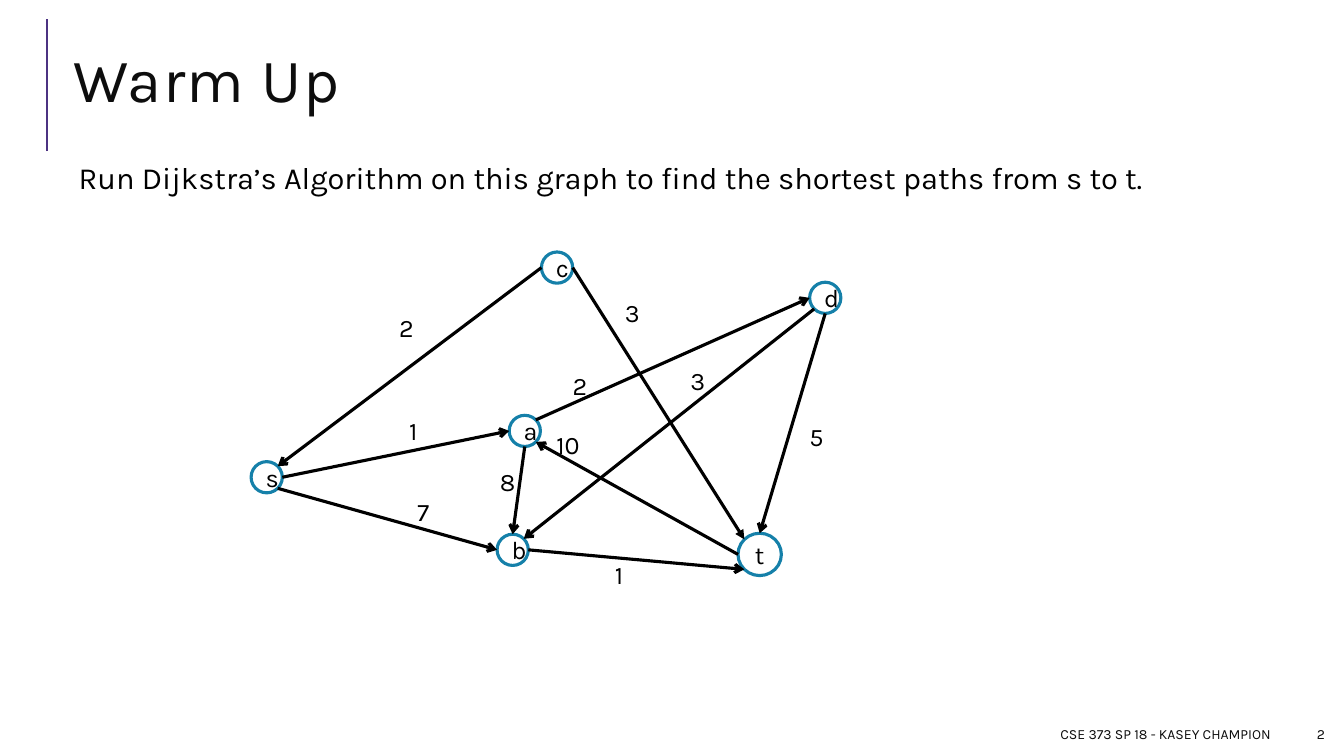
from lxml import etree
from pptx import Presentation
from pptx.dml.color import RGBColor
from pptx.enum.shapes import MSO_CONNECTOR, MSO_SHAPE
from pptx.enum.text import MSO_ANCHOR, PP_ALIGN
from pptx.oxml.ns import qn
from pptx.util import Inches, Pt

STRAIGHT, OVAL = MSO_CONNECTOR.STRAIGHT, MSO_SHAPE.OVAL
TOP, MIDDLE = MSO_ANCHOR.TOP, MSO_ANCHOR.MIDDLE
LEFT, CENTER, RIGHT = PP_ALIGN.LEFT, PP_ALIGN.CENTER, PP_ALIGN.RIGHT

FONT = "Karla"
BLACK, INK, WHITE, PURPLE, BLUE = "000000", "0D0D0D", "FFFFFF", "4C3282", "1580A9"

TITLE = "Warm Up"
TASK = "Run Dijkstra’s Algorithm on this graph to find the shortest paths from s to t."
FOOTER = "CSE 373 SP 18 - KASEY CHAMPION"
PAGE = "2"

# name: left, top, width, height
NODES = {
    "s": (2.49, 4.58, 0.31, 0.31),
    "c": (5.37, 2.5, 0.31, 0.31),
    "b": (4.93, 5.3, 0.31, 0.31),
    "t": (7.32, 5.29, 0.43, 0.42),
    "d": (8.03, 2.8, 0.31, 0.31),
    "a": (5.05, 4.12, 0.31, 0.31),
}
# from node, side, to node, side, weight, weight left, weight top, arrowhead
EDGES = [
    ("c", "W", "s", "NE", "2", 3.86, 3.05, "arrow"),
    ("s", "SE", "b", "W", "7", 4.04, 4.87, "arrow"),
    ("a", "S", "b", "N", "8", 4.86, 4.58, "arrow"),
    ("s", "E", "a", "W", "1", 3.96, 4.07, "arrow"),
    ("a", "NE", "d", "W", "2", 5.58, 3.62, "arrow"),
    ("d", "S", "t", "N", "5", 7.93, 4.13, "arrow"),
    ("b", "E", "t", "SW", "1", 6.0, 5.5, "arrow"),
    ("c", "E", "t", "NW", "3", 6.1, 2.9, "triangle"),
    ("d", "SW", "b", "NE", "3", 6.75, 3.58, "arrow"),
    ("t", "W", "a", "SE", "10", 5.42, 4.21, "arrow"),
]

prs = Presentation()
prs.slide_width, prs.slide_height = Inches(13.33), Inches(7.5)
slide = prs.slides.add_slide(prs.slide_layouts[6])


def rgb(value):
    return RGBColor.from_string(value)


def write(sp, text, size=18, color=BLACK, align=LEFT, anchor=TOP, line=None,
          before=None, after=None, tracking=None):
    tf = sp.text_frame
    tf.word_wrap = True
    tf.vertical_anchor = anchor
    p = tf.paragraphs[0]
    p.alignment, p.line_spacing = align, line
    p.space_before, p.space_after = before, after
    r = p.add_run()
    r.text = text
    r.font.name, r.font.size, r.font.color.rgb = FONT, Pt(size), rgb(color)
    if tracking:
        r.font._element.set("spc", str(tracking))
    return tf


def add_text(text, box, **style):
    sp = slide.shapes.add_textbox(*map(Inches, box))
    return write(sp, text, **style)


def add_line(start, end, color, width, head=None):
    ends = [Inches(v) for v in (*start, *end)]
    sp = slide.shapes.add_connector(STRAIGHT, *ends)
    sp.line.color.rgb, sp.line.width = rgb(color), Pt(width)
    if head:
        etree.SubElement(sp.line._get_or_add_ln(), qn("a:tailEnd"), type=head)
    etree.SubElement(sp._element.spPr, qn("a:effectLst"))


def add_node(name):
    sp = slide.shapes.add_shape(OVAL, *map(Inches, NODES[name]))
    sp.shadow.inherit = False
    sp.fill.solid()
    sp.fill.fore_color.rgb = rgb(WHITE)
    sp.line.color.rgb, sp.line.width = rgb(BLUE), Pt(2.25)
    write(sp, name, align=CENTER, anchor=MIDDLE)


def rim(name, side):
    """Point on a node's outline in a compass direction."""
    left, top, width, height = NODES[name]
    dx = ("E" in side) - ("W" in side)
    dy = ("S" in side) - ("N" in side)
    reach = 0.5 / (dx * dx + dy * dy) ** 0.5
    return left + width * (0.5 + dx * reach), top + height * (0.5 + dy * reach)


add_line((0.47, 1.5), (0.47, 0.19), PURPLE, 1.5)
add_text(TITLE, (0.63, 0.29, 12.23, 1.11), size=44, color=INK, anchor=MIDDLE,
         line=0.8, tracking=100)
task = add_text(TASK, (0.63, 1.6, 12.23, 0.73), size=22, line=0.8,
                before=Pt(12), after=Pt(2))
task.margin_left = Inches(0.15)
task.margin_top = task.margin_right = task.margin_bottom = Inches(0.05)
for text, left, width in [(FOOTER, 6.25, 6.45), (PAGE, 12.78, 0.46)]:
    add_text(text, (left, 7.13, width, 0.3), size=10, color=INK, align=RIGHT,
             anchor=MIDDLE)

for name in NODES:
    add_node(name)
for source, out_side, target, in_side, _, _, _, head in EDGES:
    add_line(rim(source, out_side), rim(target, in_side), BLACK, 2.25, head)
for *_, weight, left, top, _ in EDGES:
    add_text(weight, (left, top, 0.44 if len(weight) > 1 else 0.35, 0.4))

prs.save("out.pptx")
